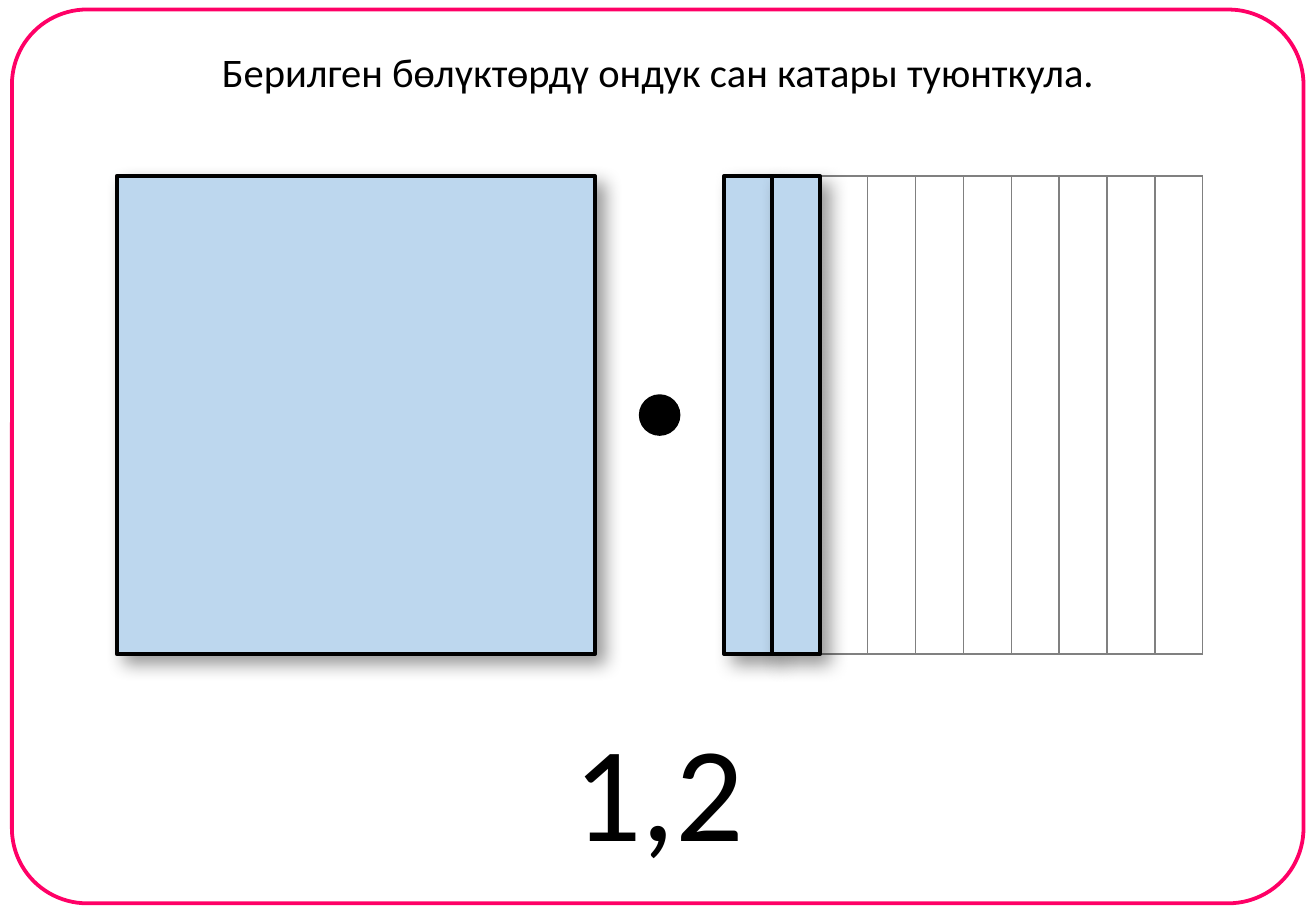
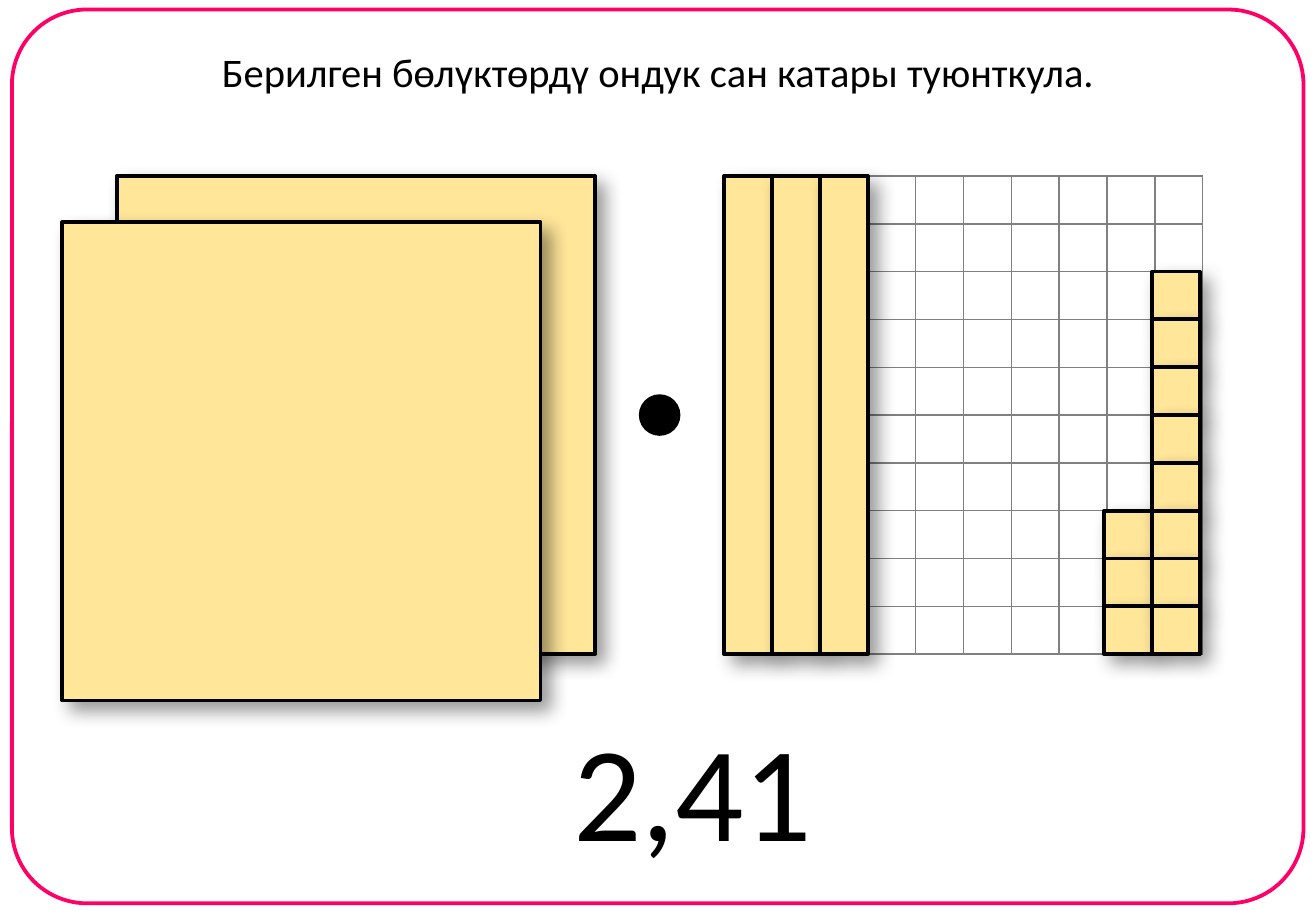
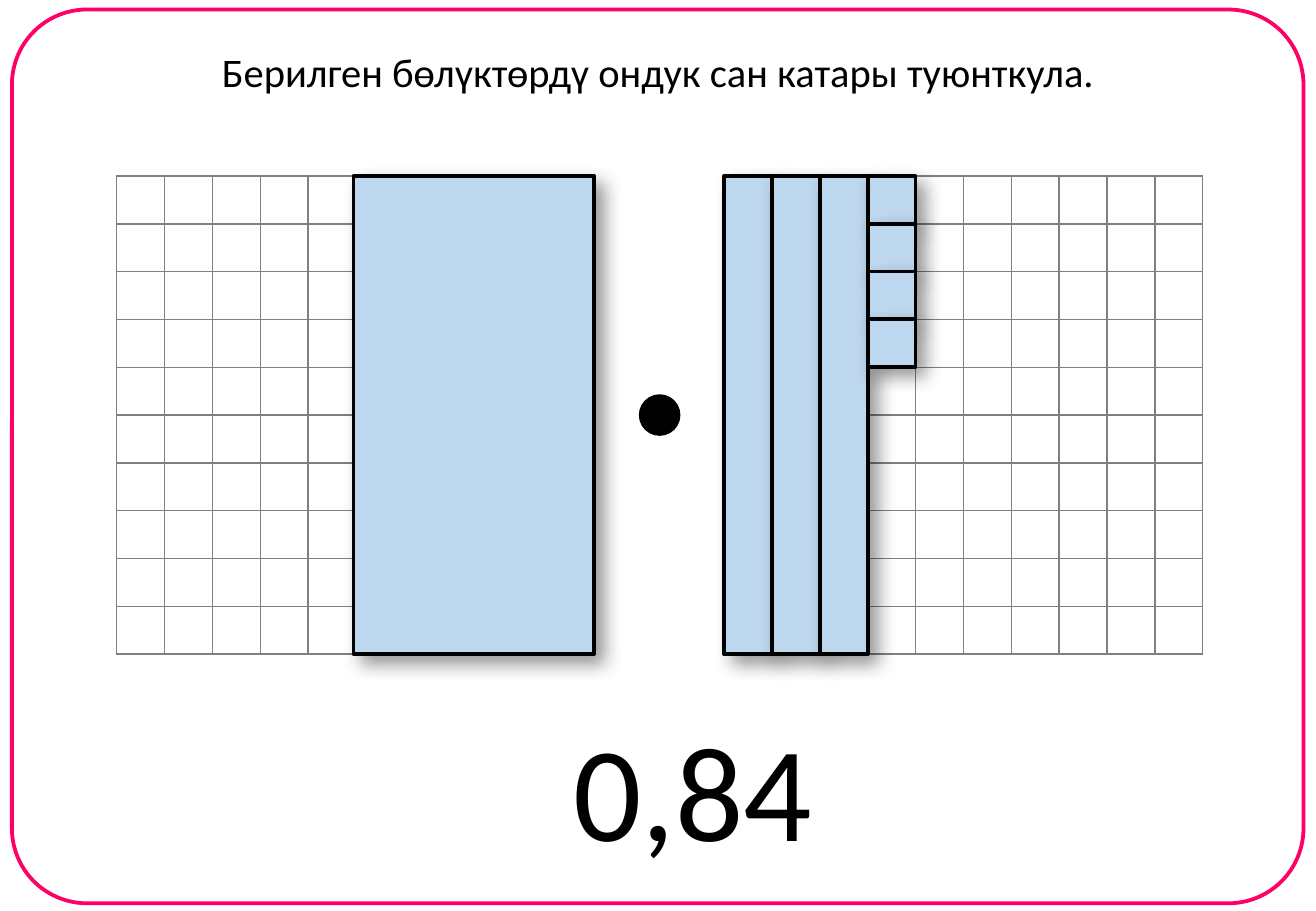
from lxml.etree import SubElement
from pptx import Presentation
from pptx.dml.color import RGBColor
from pptx.enum.shapes import MSO_SHAPE
from pptx.enum.text import MSO_AUTO_SIZE, PP_ALIGN
from pptx.oxml.ns import qn
from pptx.util import Cm, Pt

BLACK = RGBColor(0x00, 0x00, 0x00)
WHITE = RGBColor(0xFF, 0xFF, 0xFF)
GREY = RGBColor(0x80, 0x80, 0x80)
PINK = RGBColor(0xFF, 0x00, 0x66)
BLUE = RGBColor(0xBD, 0xD7, 0xEE)
YELLOW = RGBColor(0xFF, 0xE6, 0x99)

FONT = "Calibri"
TITLE = "Берилген бөлүктөрдү ондук сан катары туюнткула."

SLIDE_WIDTH, SLIDE_HEIGHT = 27.51, 19.05
WHOLES_LEFT, PARTS_LEFT, TOP = 2.44, 15.14, 3.68
COUNT = 10
DOT = 0.79
TITLE_WIDTH = 18.95
ANSWER_LEFT = 11.7


def tenths(count):
    return [(column, 0, 1, COUNT) for column in range(count)]


def hundredths(column, first_row, end_row):
    return [(column, row, 1, 1) for row in range(first_row, end_row)]


CARDS = [
    {
        "answer": "1,2",
        "color": BLUE,
        "grids": [(PARTS_LEFT, 2)],
        "wholes": [(0, 0, COUNT, COUNT)],
        "parts": tenths(2),
    },
    {
        "answer": "2,41",
        "color": YELLOW,
        "grids": [(PARTS_LEFT, COUNT)],
        "wholes": [(0, 0, COUNT, COUNT), (-1.14, 0.97, COUNT, COUNT)],
        "parts": tenths(3) + hundredths(7.94, 7, 10) + hundredths(8.94, 2, 10),
    },
    {
        "answer": "0,84",
        "color": BLUE,
        "grids": [(WHOLES_LEFT, COUNT), (PARTS_LEFT, COUNT)],
        "wholes": [(4.95, 0, 5.03, COUNT)],
        "parts": tenths(3) + hundredths(3, 0, 4),
    },
]


def add_figure(slide, kind, left, top, width, height, fill, line):
    shape = slide.shapes.add_shape(kind, Cm(left), Cm(top), Cm(width), Cm(height))
    shape.shadow.inherit = False
    if fill is None:
        shape.fill.background()
    else:
        shape.fill.solid()
        shape.fill.fore_color.rgb = fill
    shape.line.color.rgb = line
    shape.line.width = Pt(2.25)
    return shape


def add_block(slide, origin, block, color):
    column, row, width, height = block
    shape = add_figure(slide, MSO_SHAPE.RECTANGLE, origin + column, TOP + row,
                       width, height, color, BLACK)
    effects = shape._element.spPr.find(qn("a:effectLst"))
    shadow = SubElement(effects, qn("a:outerShdw"), blurRad=str(Pt(11)),
                        dist=str(Pt(7)), dir="2700000", algn="tl", rotWithShape="0")
    shade = SubElement(shadow, qn("a:srgbClr"), val=str(BLACK))
    SubElement(shade, qn("a:alpha"), val="40000")


def style_cell(cell):
    cell.margin_left = cell.margin_right = cell.margin_top = cell.margin_bottom = 0
    properties = cell._tc.get_or_add_tcPr()
    for side in ("a:lnL", "a:lnR", "a:lnT", "a:lnB"):
        border = SubElement(properties, qn(side), w=str(Pt(1)))
        paint = SubElement(border, qn("a:solidFill"))
        SubElement(paint, qn("a:srgbClr"), val=str(GREY))
    cell.fill.solid()
    cell.fill.fore_color.rgb = WHITE


def add_grid(slide, left, first_merged):
    frame = slide.shapes.add_table(COUNT, COUNT, Cm(left), Cm(TOP), Cm(COUNT), Cm(COUNT))
    table = frame.table
    table.first_row = table.horz_banding = False
    for cell in table.iter_cells():
        style_cell(cell)
    for column in range(first_merged, COUNT):
        table.cell(0, column).merge(table.cell(COUNT - 1, column))


def add_text(slide, text, left, top, width, height, size):
    box = slide.shapes.add_textbox(Cm(left), Cm(top), Cm(width), Cm(height))
    box.text_frame.word_wrap = False
    box.text_frame.auto_size = MSO_AUTO_SIZE.SHAPE_TO_FIT_TEXT
    para = box.text_frame.paragraphs[0]
    para.alignment = PP_ALIGN.CENTER
    span = para.add_run()
    span.text = text
    span.font.name = FONT
    span.font.size = Pt(size)
    span.font.color.rgb = BLACK


def add_card(deck, card):
    slide = deck.slides.add_slide(deck.slide_layouts[6])
    frame = add_figure(slide, MSO_SHAPE.ROUNDED_RECTANGLE, 0.25, 0.2, 27, 18.69, None, PINK)
    frame.adjustments[0] = 0.084
    add_text(slide, TITLE, (SLIDE_WIDTH - TITLE_WIDTH) / 2, 0.86, TITLE_WIDTH, 1.27, 24)
    for left, first_merged in card["grids"]:
        add_grid(slide, left, first_merged)
    for origin, blocks in ((WHOLES_LEFT, card["wholes"]), (PARTS_LEFT, card["parts"])):
        for block in blocks:
            add_block(slide, origin, block, card["color"])
    dot_left = (WHOLES_LEFT + COUNT + PARTS_LEFT - DOT) / 2
    dot_top = TOP + (COUNT - DOT) / 2
    add_figure(slide, MSO_SHAPE.OVAL, dot_left, dot_top, DOT, DOT, BLACK, BLACK)
    digits = len(card["answer"]) - 1
    add_text(slide, card["answer"], ANSWER_LEFT, 14.65, 1.25 + 1.44 * digits, 3.68, 80)


def main():
    deck = Presentation()
    deck.slide_width, deck.slide_height = Cm(SLIDE_WIDTH), Cm(SLIDE_HEIGHT)
    for card in CARDS:
        add_card(deck, card)
    deck.save("out.pptx")


if __name__ == "__main__":
    main()
